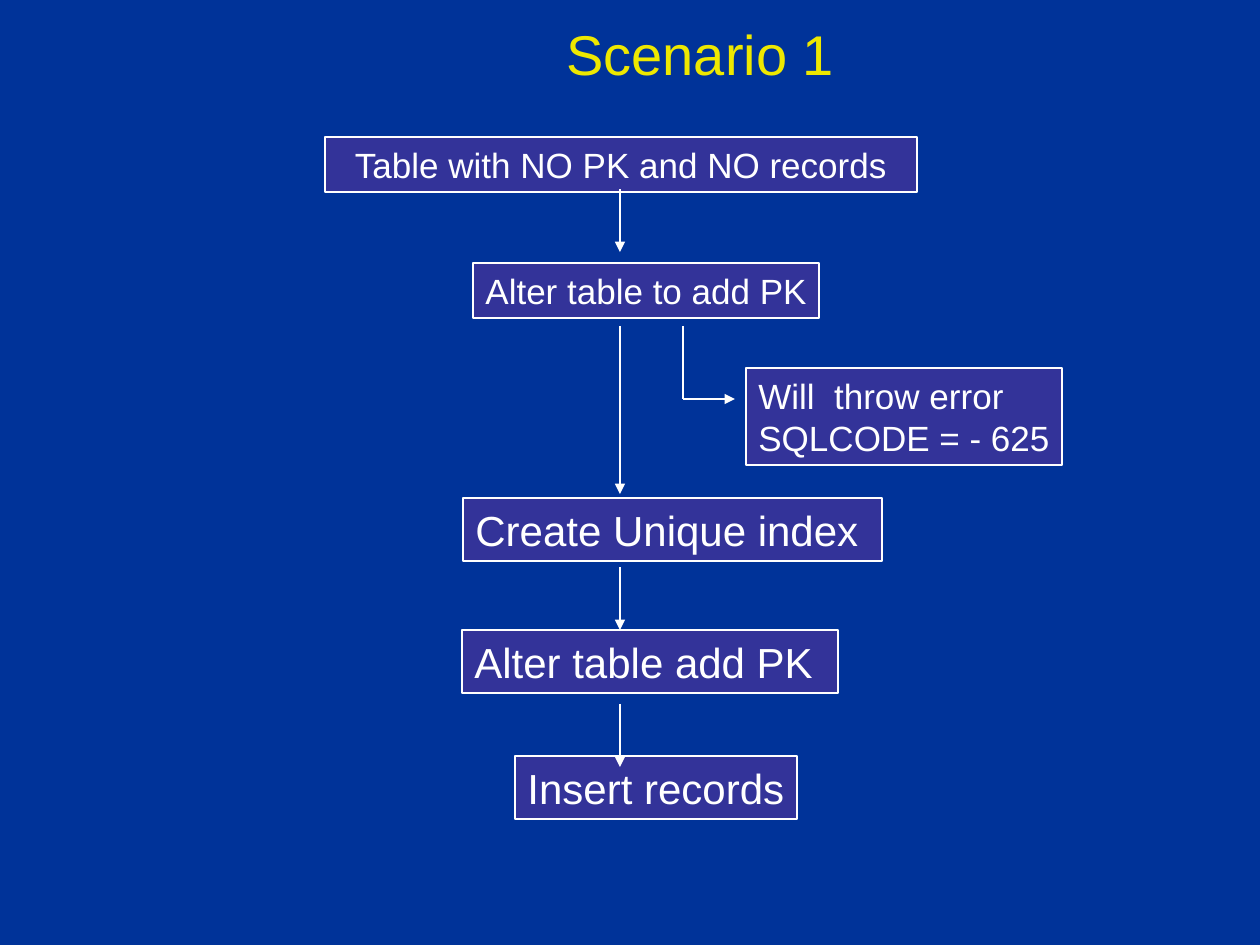
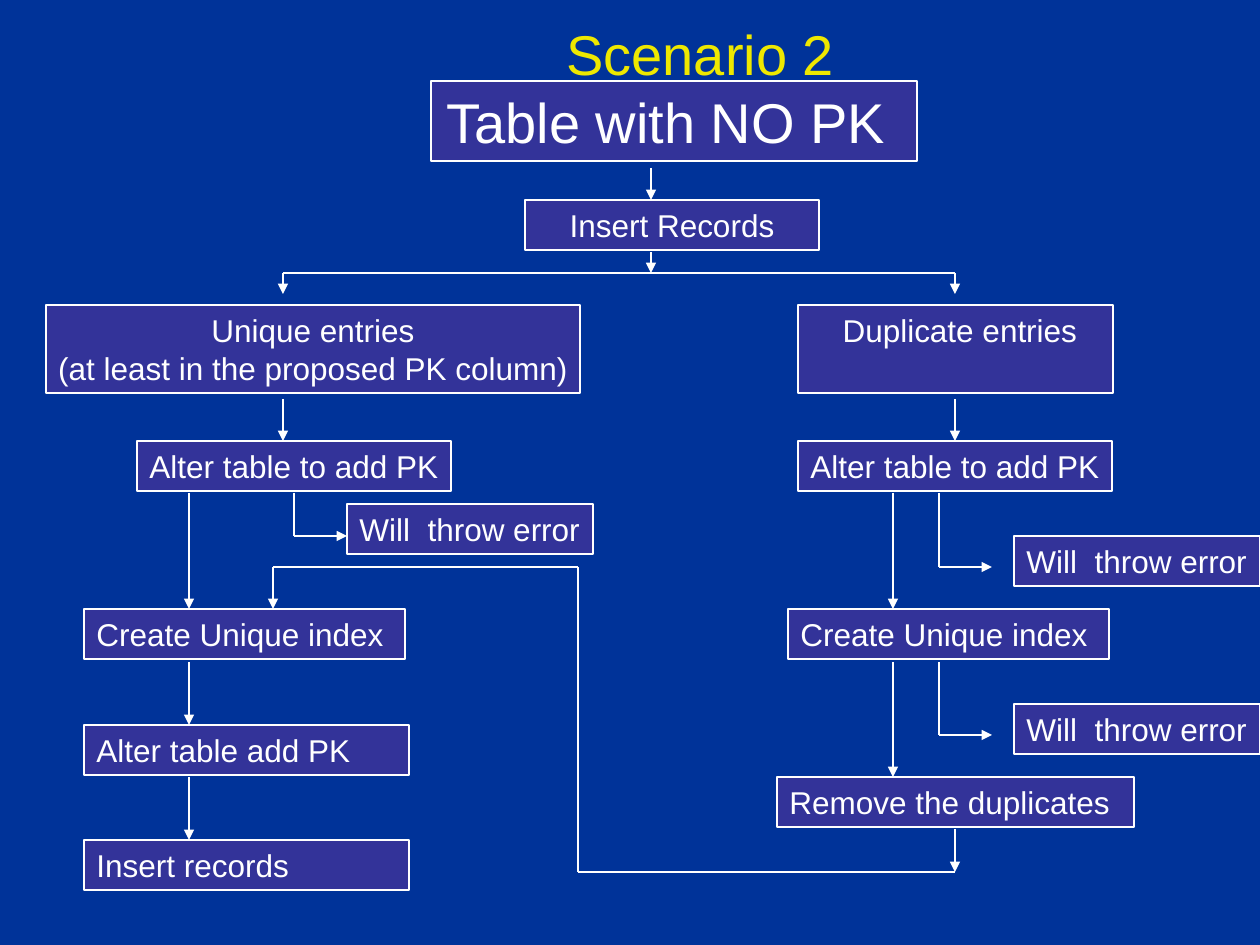
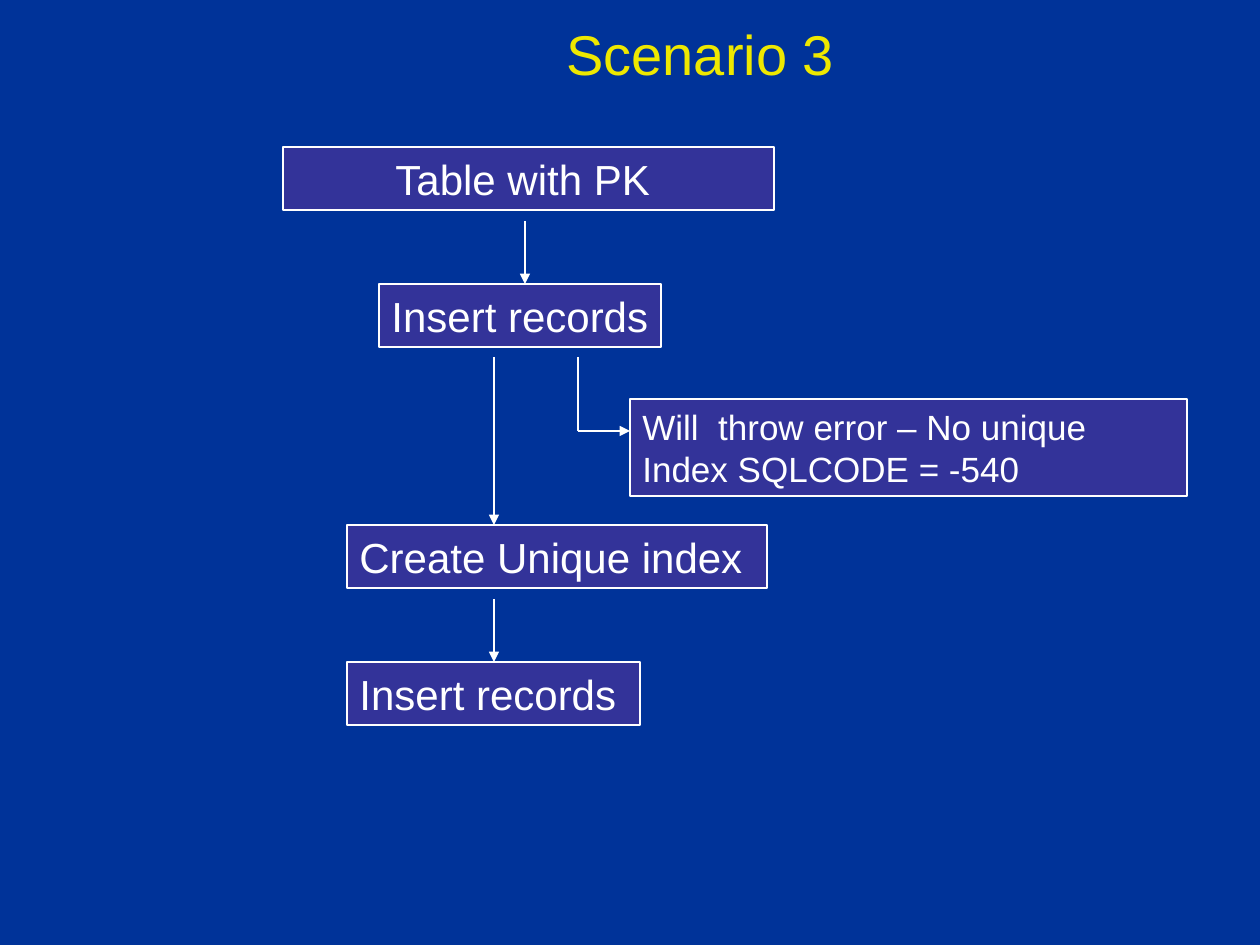
"""Build three flowchart slides about adding a primary key to a table."""
from itertools import pairwise

from lxml import etree
from pptx import Presentation
from pptx.dml.color import RGBColor
from pptx.enum.shapes import MSO_CONNECTOR, MSO_SHAPE
from pptx.enum.text import MSO_ANCHOR, PP_ALIGN
from pptx.oxml.ns import qn
from pptx.util import Pt

PIXEL = 914400 / 126
SLIDE_SIZE = (1260, 945)

BACKGROUND = RGBColor(0x00, 0x33, 0x99)
BOX_FILL = RGBColor(0x33, 0x33, 0x99)
WHITE = RGBColor(0xFF, 0xFF, 0xFF)
YELLOW = RGBColor(0xEE, 0xE8, 0x00)

RECTANGLE = MSO_SHAPE.RECTANGLE
STRAIGHT = MSO_CONNECTOR.STRAIGHT
LEFT, CENTER = PP_ALIGN.LEFT, PP_ALIGN.CENTER

FONT = "Arial"
LINE_WIDTH = Pt(0.74)
LINE_HEIGHT = 1.2
INSETS = {"margin_left": 12.6, "margin_right": 12.6, "margin_top": 6.3, "margin_bottom": 6.3}


def emu(pixels):
    """Turn pixels into EMU."""
    return round(pixels * PIXEL)


def text_height(text, size, lines=None):
    """Return the pixel height that holds the lines of a text."""
    lines = lines or len(text.split("\n"))
    return round(lines * size * 1.75 * LINE_HEIGHT + 12.6)


def write_text(shape, text, size, color=WHITE, align=LEFT, wrap=False):
    """Fill a shape with one paragraph for each line of text."""
    frame = shape.text_frame
    frame.text = text
    for name, pixels in INSETS.items():
        setattr(frame, name, emu(pixels))
    frame.word_wrap = wrap
    frame.vertical_anchor = MSO_ANCHOR.TOP
    font_format = {"name": FONT, "size": Pt(size)}
    for paragraph in frame.paragraphs:
        paragraph.alignment = align
        font = paragraph.runs[0].font
        for name, value in font_format.items():
            setattr(font, name, value)
        font.color.rgb = color


def add_title(slide, text):
    """Add the yellow slide title."""
    area = (554, 13, 294, text_height(text, 32))
    write_text(slide.shapes.add_textbox(*map(emu, area)), text, 32, YELLOW)


def add_box(slide, left, top, width, text, size, align=LEFT, wrap=False, lines=None):
    """Add a step box as high as its text."""
    area = (left, top, width, text_height(text, size, lines))
    shape = slide.shapes.add_shape(RECTANGLE, *map(emu, area))
    shape.shadow.inherit = False
    shape.fill.solid()
    shape.fill.fore_color.rgb = BOX_FILL
    shape.line.color.rgb = WHITE
    shape.line.width = LINE_WIDTH
    write_text(shape, text, size, align=align, wrap=wrap)


def add_arrow(slide, *points):
    """Join points with straight lines, the last one with an arrowhead."""
    for start, end in pairwise(points):
        connector = slide.shapes.add_connector(STRAIGHT, *map(emu, start + end))
        connector.line.color.rgb = WHITE
        connector.line.width = LINE_WIDTH
        properties = connector._element.spPr
        etree.SubElement(properties, qn("a:effectLst"))
        if end == points[-1]:
            line = properties.find(qn("a:ln"))
            etree.SubElement(line, qn("a:tailEnd"), type="triangle")


def add_down_arrows(slide, *arrows):
    """Add vertical arrows given as x, top and bottom."""
    for x, top, bottom in arrows:
        add_arrow(slide, (x, top), (x, bottom))


def add_error_arrow(slide, left, top, right, bottom):
    """Add an arrow that runs down and then right to an error box."""
    add_arrow(slide, (left, top), (left, bottom), (right, bottom))


def add_scenario(presentation, number):
    """Add a blank slide with its scenario title."""
    slide = presentation.slides.add_slide(presentation.slide_layouts[6])
    add_title(slide, f"Scenario {number}")
    return slide


def build_empty_table(slide):
    """Draw the steps for a table without key or records."""
    add_box(slide, 325, 137, 592, "Table with NO PK and NO records", 20, CENTER, True)
    add_box(slide, 473, 263, 346, "Alter table to add PK", 20)
    add_box(slide, 746, 368, 316, "Will  throw error\nSQLCODE = - 625", 20)
    add_box(slide, 463, 498, 419, "Create Unique index ", 24)
    add_box(slide, 462, 630, 376, "Alter table add PK ", 24)
    add_box(slide, 515, 756, 282, "Insert records", 24)
    add_down_arrows(slide, (620, 189, 252), (620, 326, 494), (620, 567, 630), (620, 704, 767))
    add_error_arrow(slide, 683, 326, 735, 399)


def build_filled_table(slide):
    """Draw the unique and duplicate branches for a table without key."""
    add_box(slide, 431, 81, 486, "Table with NO PK ", 32, CENTER)
    add_box(slide, 525, 200, 294, "Insert Records", 18, CENTER, True)
    add_box(slide, 46, 305, 534, "Unique entries\n(at least in the proposed PK column)", 18, CENTER)
    add_box(slide, 798, 305, 315, " Duplicate entries", 18, CENTER, True, lines=2)
    for alter_left, index_left in ((137, 84), (798, 788)):
        add_box(slide, alter_left, 441, 314, "Alter table to add PK", 18)
        add_box(slide, index_left, 609, 321, "Create Unique index ", 18)
    for left, top in ((347, 504), (1014, 536), (1014, 704)):
        add_box(slide, left, top, 246, "Will  throw error", 18)
    add_box(slide, 84, 725, 325, "Alter table add PK ", 18, wrap=True)
    add_box(slide, 84, 840, 325, "Insert records", 18, wrap=True)
    add_box(slide, 777, 777, 357, "Remove the duplicates", 18, wrap=True)

    add_down_arrows(slide, (651, 168, 200), (651, 252, 273), (283, 273, 294))
    add_arrow(slide, (283, 273), (955, 273), (955, 294))
    add_down_arrows(slide, (283, 399, 441), (955, 399, 441))
    add_down_arrows(slide, (189, 493, 609), (189, 662, 725), (189, 777, 840))
    add_down_arrows(slide, (893, 493, 609), (893, 662, 777), (955, 829, 872))
    add_error_arrow(slide, 294, 493, 347, 536)
    add_error_arrow(slide, 939, 493, 992, 567)
    add_error_arrow(slide, 939, 662, 992, 735)
    add_arrow(slide, (955, 872), (578, 872), (578, 567), (273, 567), (273, 609))


def build_keyed_table(slide):
    """Draw the steps for a table that has a key."""
    add_box(slide, 283, 147, 491, "Table with PK ", 24, CENTER, True)
    add_box(slide, 379, 284, 282, "Insert records", 24)
    add_box(slide, 630, 399, 557, "Will  throw error – No unique Index SQLCODE = -540", 20, wrap=True, lines=2)
    add_box(slide, 347, 525, 420, "Create Unique index ", 24)
    add_box(slide, 347, 662, 293, "Insert records ", 24)
    add_down_arrows(slide, (525, 221, 284), (494, 357, 525), (494, 599, 662))
    add_error_arrow(slide, 578, 357, 630, 431)


def main():
    """Build and save the presentation."""
    presentation = Presentation()
    presentation.slide_width, presentation.slide_height = map(emu, SLIDE_SIZE)
    background = presentation.slide_master.background.fill
    background.solid()
    background.fore_color.rgb = BACKGROUND
    builders = (build_empty_table, build_filled_table, build_keyed_table)
    for number, build in enumerate(builders, start=1):
        build(add_scenario(presentation, number))
    presentation.save("out.pptx")


main()
